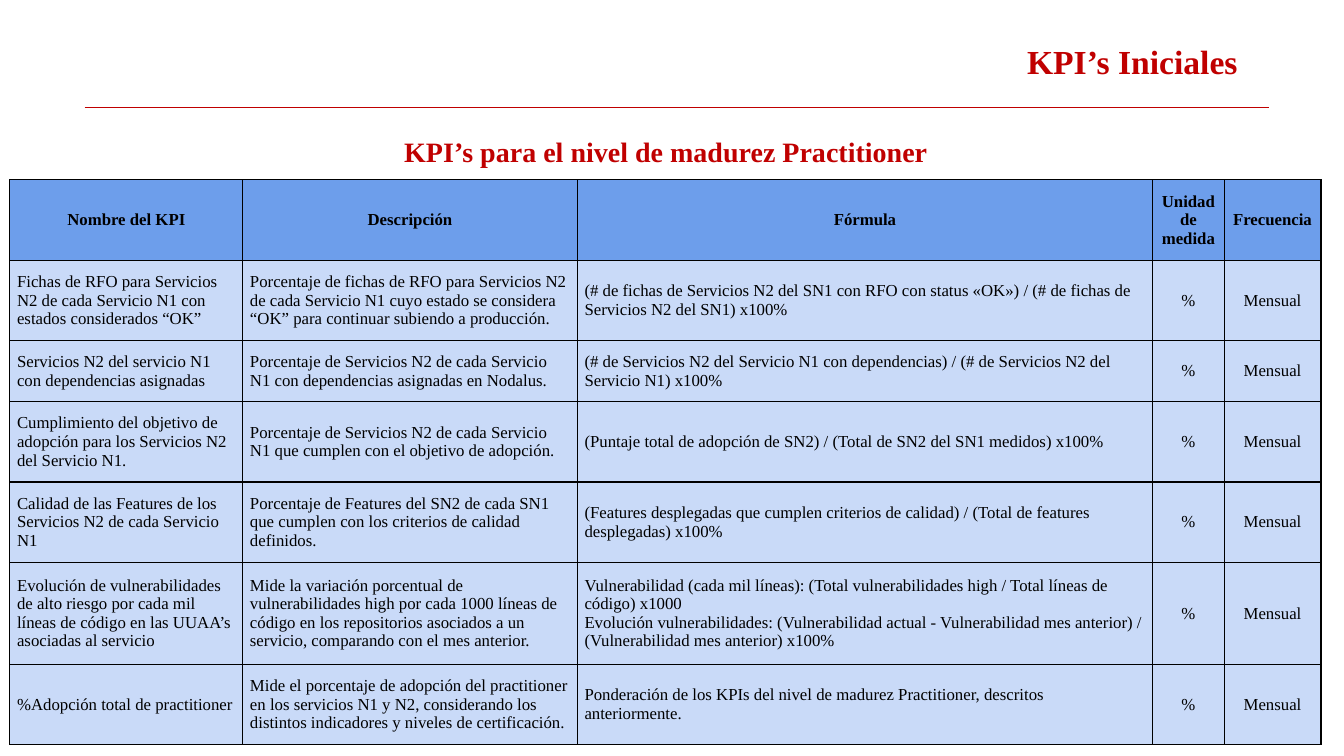
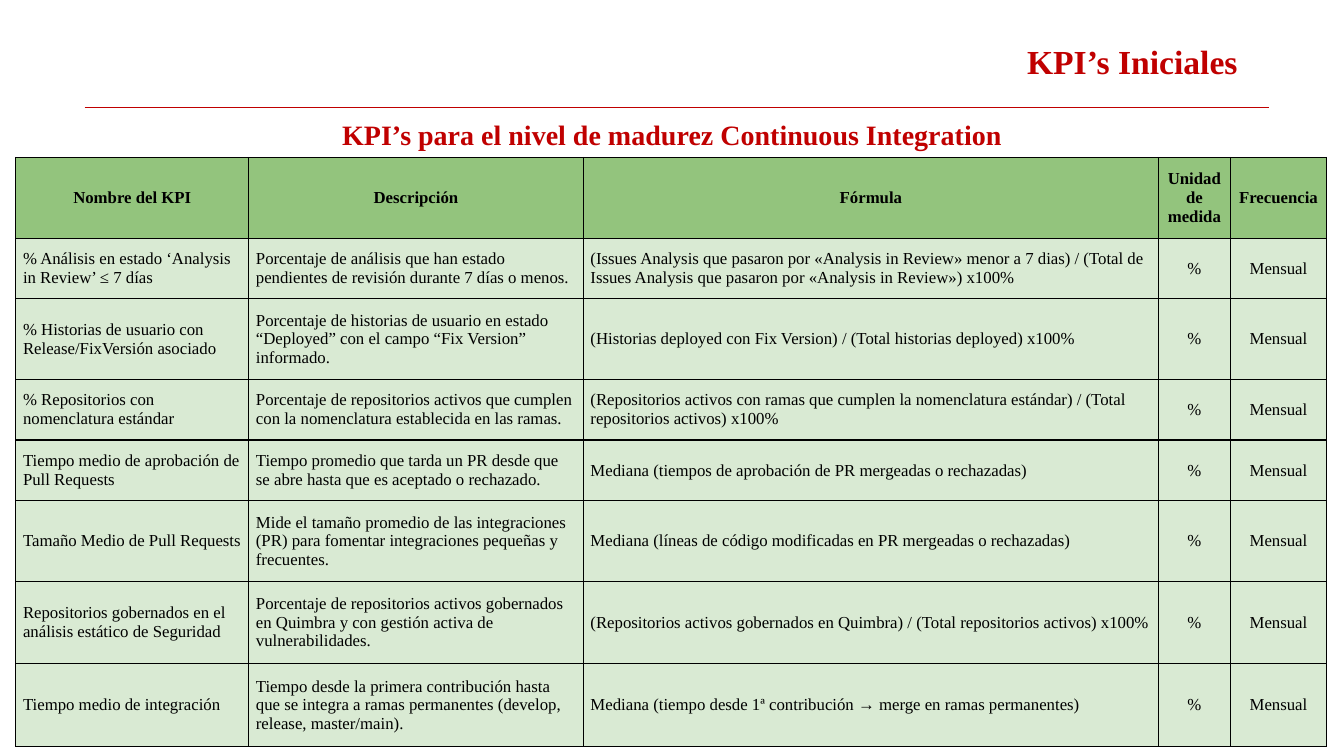
from dataclasses import dataclass

from lxml.etree import SubElement
from pptx import Presentation
from pptx.dml.color import RGBColor
from pptx.enum.shapes import MSO_CONNECTOR
from pptx.enum.text import MSO_ANCHOR, PP_ALIGN
from pptx.oxml.ns import qn
from pptx.util import Cm, Pt


@dataclass(frozen=True)
class Theme:
    font: str = "Times New Roman"
    accent: str = "C00000"
    ink: str = "000000"
    blue: tuple = ("6D9EEB", "C9DAF8")      # header fill, body fill
    green: tuple = ("93C47D", "D9EAD3")
    title_size: int = 24
    subtitle_size: int = 20
    cell_size: int = 12
    rule_width: float = 0.75
    border_width: float = 0.94


T = Theme()
COLS = (5.87, 8.43, 14.5, 1.8, 2.44)
HEADER = ("Nombre del KPI", "Descripción", "Fórmula", "Unidad de medida", "Frecuencia")
UNIT, FREQUENCY = "%", "Mensual"
SHORT, TALL, TALLER, TALLEST = 1.53, 2.03, 2.08, 2.56   # row heights in cm

# Each row: height, name, description, formula
PRACTITIONER = [
    (TALL, "Fichas de RFO para Servicios N2 de cada Servicio N1 con estados considerados “OK”",
     "Porcentaje de fichas de RFO para Servicios N2 de cada Servicio N1 cuyo estado se considera "
     "“OK” para continuar subiendo a producción.",
     "(# de fichas de Servicios N2 del SN1 con RFO con status «OK») / "
     "(# de fichas de Servicios N2 del SN1) x100%"),
    (SHORT, "Servicios N2 del servicio N1 con dependencias asignadas",
     "Porcentaje de Servicios N2 de cada Servicio N1 con dependencias asignadas en Nodalus.",
     "(# de Servicios N2 del Servicio N1 con dependencias) / "
     "(# de Servicios N2 del Servicio N1) x100%"),
    (TALL, "Cumplimiento del objetivo de adopción para los Servicios N2 del Servicio N1.",
     "Porcentaje de Servicios N2 de cada Servicio N1 que cumplen con el objetivo de adopción.",
     "(Puntaje total de adopción de SN2) / (Total de SN2 del SN1 medidos) x100%"),
    (TALL, "Calidad de las Features de los Servicios N2 de cada Servicio N1",
     "Porcentaje de Features del SN2 de cada SN1 que cumplen con los criterios de calidad "
     "definidos.",
     "(Features desplegadas que cumplen criterios de calidad) / "
     "(Total de features desplegadas) x100%"),
    (TALLEST, "Evolución de vulnerabilidades de alto riesgo por cada mil líneas de código en las "
     "UUAA’s asociadas al servicio",
     "Mide la variación porcentual de vulnerabilidades high por cada 1000 líneas de código en los "
     "repositorios asociados a un servicio, comparando con el mes anterior.",
     "Vulnerabilidad (cada mil líneas): (Total vulnerabilidades high / Total líneas de código) "
     "x1000\n"
     "Evolución vulnerabilidades: (Vulnerabilidad actual - Vulnerabilidad mes anterior) / "
     "(Vulnerabilidad mes anterior) x100%"),
    (TALL, "%Adopción total de practitioner",
     "Mide el porcentaje de adopción del practitioner en los servicios N1 y N2, considerando los "
     "distintos indicadores y niveles de certificación.",
     "Ponderación de los KPIs del nivel de madurez Practitioner, descritos anteriormente."),
]

INTEGRATION = [
    (SHORT, "% Análisis en estado ‘Analysis in Review’ ≤ 7 días",
     "Porcentaje de análisis que han estado pendientes de revisión durante 7 días o menos.",
     "(Issues Analysis que pasaron por «Analysis in Review» menor a 7 dias) / "
     "(Total de Issues Analysis que pasaron por «Analysis in Review») x100%"),
    (TALL, "% Historias de usuario con Release/FixVersión asociado",
     "Porcentaje de historias de usuario en estado “Deployed” con el campo “Fix Version” "
     "informado.",
     "(Historias deployed con Fix Version) / (Total historias deployed) x100%"),
    (SHORT, "% Repositorios con nomenclatura estándar",
     "Porcentaje de repositorios activos que cumplen con la nomenclatura establecida en las "
     "ramas.",
     "(Repositorios activos con ramas que cumplen la nomenclatura estándar) / "
     "(Total repositorios activos) x100%"),
    (SHORT, "Tiempo medio de aprobación de Pull Requests",
     "Tiempo promedio que tarda un PR desde que se abre hasta que es aceptado o rechazado.",
     "Mediana (tiempos de aprobación de PR mergeadas o rechazadas)"),
    (TALL, "Tamaño Medio de Pull Requests",
     "Mide el tamaño promedio de las integraciones (PR) para fomentar integraciones pequeñas y "
     "frecuentes.",
     "Mediana (líneas de código modificadas en PR mergeadas o rechazadas)"),
    (TALLER, "Repositorios gobernados en el análisis estático de Seguridad",
     "Porcentaje de repositorios activos gobernados en Quimbra y con gestión activa de "
     "vulnerabilidades.",
     "(Repositorios activos gobernados en Quimbra) / (Total repositorios activos) x100%"),
    (TALLER, "Tiempo medio de integración",
     "Tiempo desde la primera contribución hasta que se integra a ramas permanentes (develop, "
     "release, master/main).",
     "Mediana (tiempo desde 1ª contribución → merge en ramas permanentes)"),
]


def write(tf, text, size, color, align, bold=False):
    """Fill a text frame; a newline in the text becomes a line break."""
    tf.word_wrap = True
    p = tf.paragraphs[0]
    p.alignment = align
    for i, line in enumerate(text.split("\n")):
        if i:
            p.add_line_break()
        r = p.add_run()
        r.text = line
        r.font.name, r.font.size, r.font.bold = T.font, Pt(size), bold
        r.font.color.rgb = RGBColor.from_string(color)


def add_heading(s, box, text, size, align, pad):
    """Red bold text in a box (left, top, width, height in cm)."""
    tf = s.shapes.add_textbox(*map(Cm, box)).text_frame
    tf.margin_left = tf.margin_right = Cm(0.25)
    tf.margin_top = tf.margin_bottom = Cm(pad)
    write(tf, text, size, T.accent, align, bold=True)


def add_rule(s, left, top, width):
    line = s.shapes.add_connector(MSO_CONNECTOR.STRAIGHT, Cm(left), Cm(top),
                                  Cm(left + width), Cm(top))
    line.line.color.rgb = RGBColor.from_string(T.accent)
    line.line.width = Pt(T.rule_width)
    SubElement(line._element.spPr, qn("a:effectLst"))


def style_cell(cell, fill):
    cell.vertical_anchor = MSO_ANCHOR.MIDDLE
    cell.margin_left = cell.margin_right = Cm(0.18)
    cell.margin_top = cell.margin_bottom = Cm(0.25)
    # Borders come before the fill in the cell properties
    tc_pr = cell._tc.get_or_add_tcPr()
    for side in ("a:lnL", "a:lnR", "a:lnT", "a:lnB"):
        ln = SubElement(tc_pr, qn(side), w=str(Pt(T.border_width)))
        SubElement(SubElement(ln, qn("a:solidFill")), qn("a:srgbClr"), val=T.ink)
    cell.fill.solid()
    cell.fill.fore_color.rgb = RGBColor.from_string(fill)


def add_kpi_table(s, left, top, kpis, fills):
    rows = [(TALL, *HEADER)] + [(*kpi, UNIT, FREQUENCY) for kpi in kpis]
    height = sum(row[0] for row in rows)
    table = s.shapes.add_table(len(rows), len(COLS), Cm(left), Cm(top),
                               Cm(sum(COLS)), Cm(height)).table
    table.horz_banding = False
    for col, width in zip(table.columns, COLS):
        col.width = Cm(width)
    for i, (row_height, *texts) in enumerate(rows):
        table.rows[i].height = Cm(row_height)
        for j, text in enumerate(texts):
            cell = table.cell(i, j)
            style_cell(cell, fills[0] if i == 0 else fills[1])
            align = PP_ALIGN.CENTER if i == 0 or j > 2 else PP_ALIGN.LEFT
            write(cell.text_frame, text, T.cell_size, T.ink, align, bold=i == 0)


def add_kpi_slide(prs, subtitle, subtitle_box, table_at, kpis, fills):
    s = prs.slides.add_slide(prs.slide_layouts[6])
    # Title and rule
    add_heading(s, (11.96, 0.91, 19.48, 1.27), "KPI’s Iniciales", T.title_size,
                PP_ALIGN.RIGHT, 0.13)
    add_rule(s, 2.13, 2.72, 29.85)
    # Table and its heading
    add_kpi_table(s, *table_at, kpis, fills)
    add_heading(s, subtitle_box, subtitle, T.subtitle_size, PP_ALIGN.CENTER, 0.25)


def main():
    prs = Presentation()
    prs.slide_width, prs.slide_height = Cm(33.87), Cm(19.05)
    add_kpi_slide(prs, "KPI’s para el nivel de madurez Practitioner",
                  (9.65, 3.15, 14.27, 1.37), (0.25, 4.53), PRACTITIONER, T.blue)
    add_kpi_slide(prs, "KPI’s para el nivel de madurez Continuous Integration",
                  (8, 2.72, 17.88, 1.37), (0.4, 3.97), INTEGRATION, T.green)
    prs.save("out.pptx")


if __name__ == "__main__":
    main()
